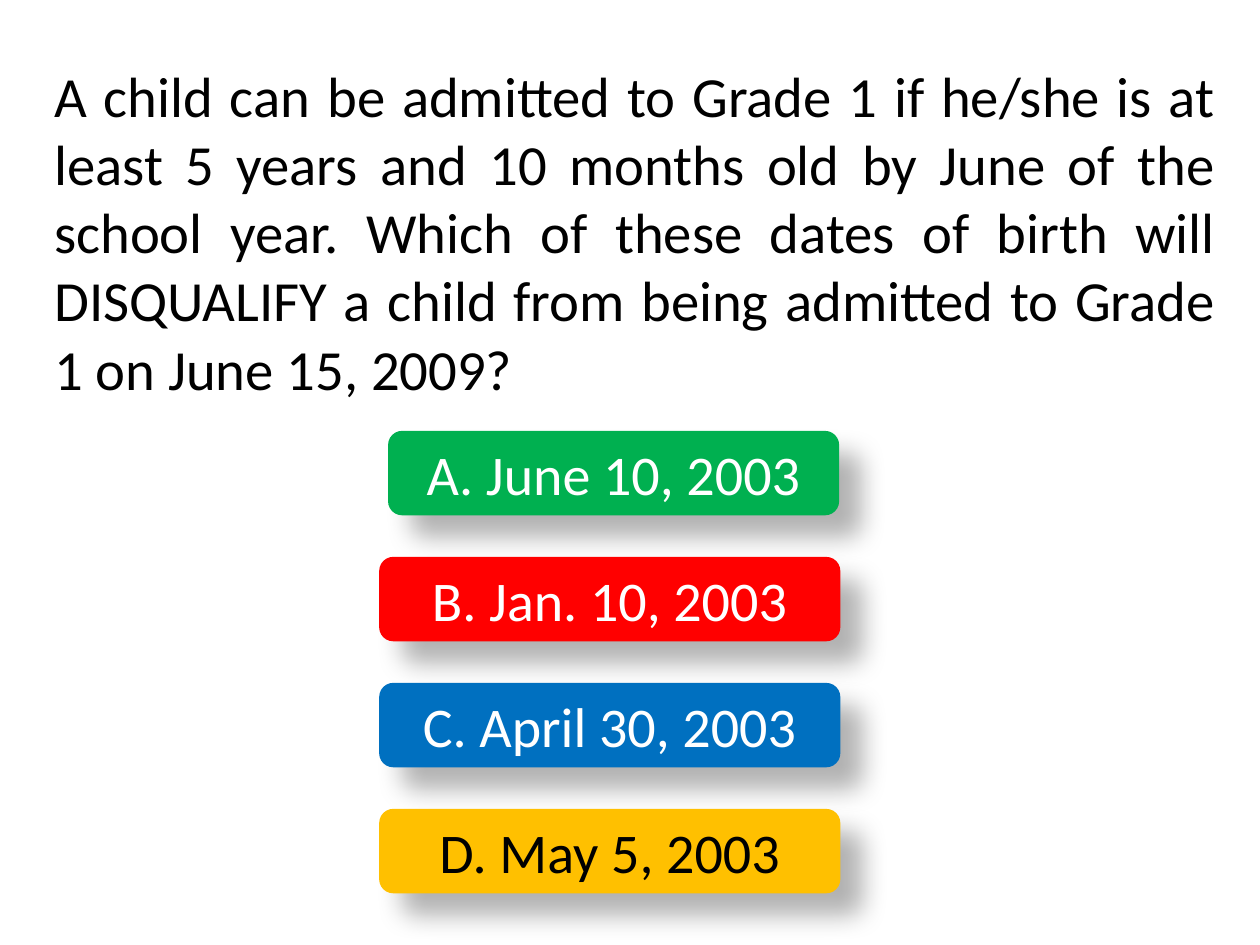
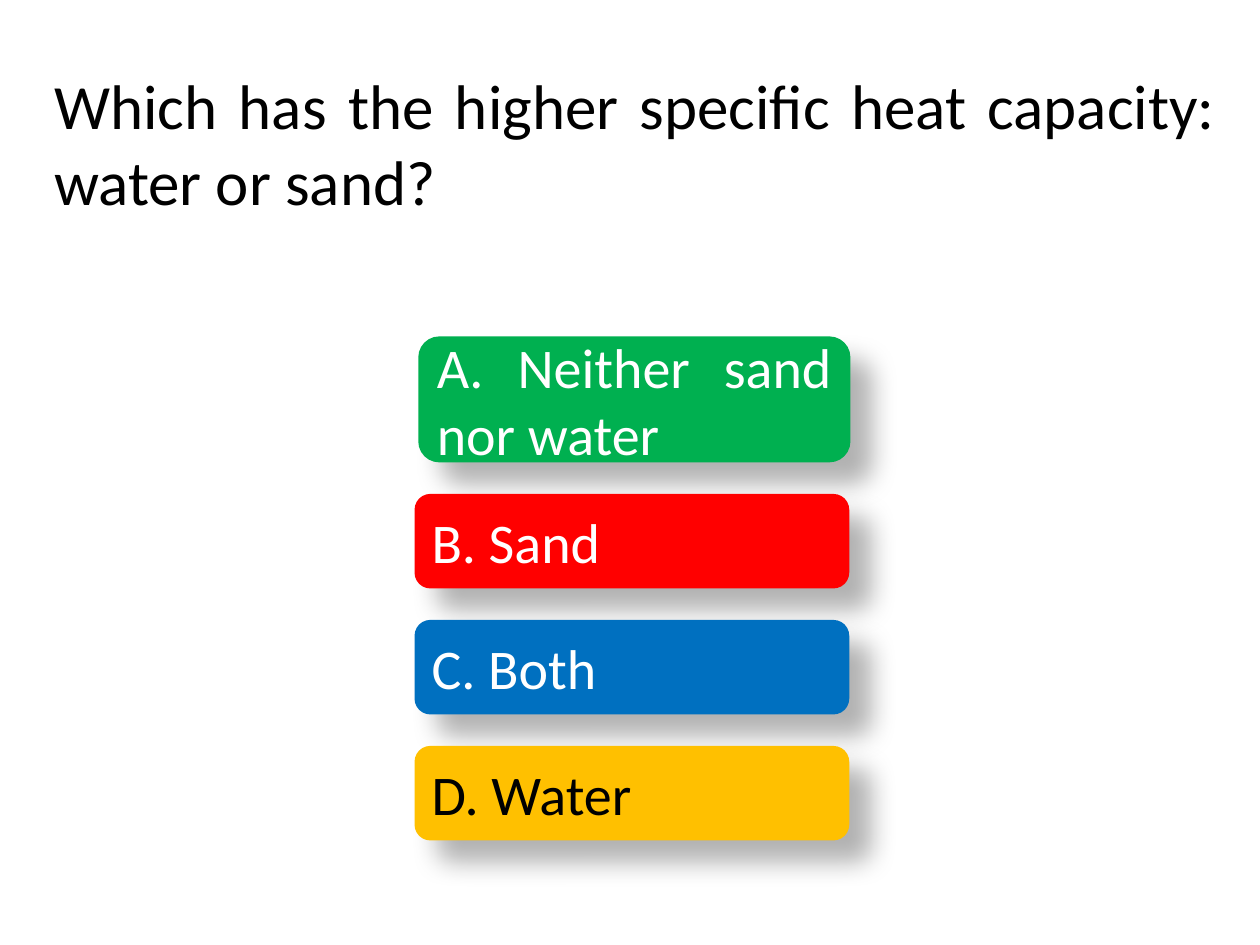
from lxml import etree
from pptx import Presentation
from pptx.dml.color import RGBColor
from pptx.enum.shapes import MSO_SHAPE
from pptx.enum.text import MSO_ANCHOR, MSO_AUTO_SIZE, PP_ALIGN
from pptx.oxml.ns import qn
from pptx.util import Inches, Pt

ROUNDED = MSO_SHAPE.ROUNDED_RECTANGLE
MIDDLE = MSO_ANCHOR.MIDDLE
NO_AUTOFIT = MSO_AUTO_SIZE.NONE
CENTER = PP_ALIGN.CENTER
JUSTIFY = PP_ALIGN.JUSTIFY

TITLE_ONLY = 5
FONT = "Calibri"
ANSWER_SIZE = 32
ANSWER_STEP = 1
COLORS = {
    "green": "00B050",
    "red": "FF0000",
    "blue": "0070C0",
    "yellow": "FFC000",
    "white": "FFFFFF",
    "black": "000000",
}
ANSWER_STYLES = [
    ("green", "white"),
    ("red", "white"),
    ("blue", "white"),
    ("yellow", "black"),
]


def color(name):
    return RGBColor.from_string(COLORS[name])


def write_text(shape, text, size, color_name, alignment):
    frame = shape.text_frame
    frame.word_wrap = True
    frame.auto_size = NO_AUTOFIT
    frame.vertical_anchor = MIDDLE
    frame.text = text
    paragraph = frame.paragraphs[0]
    paragraph.alignment = alignment
    paragraph.font.name = FONT
    paragraph.font.size = Pt(size)
    paragraph.font.color.rgb = color(color_name)


def add_shadow(shape):
    shape.shadow.inherit = False
    effects = shape._element.spPr.find(qn("a:effectLst"))
    shadow = etree.SubElement(
        effects, qn("a:outerShdw"), blurRad=str(Pt(15)), dist=str(Pt(18)),
        dir=str(45 * 60000), algn="tl", rotWithShape="0")
    shade = etree.SubElement(shadow, qn("a:srgbClr"), val=COLORS["black"])
    etree.SubElement(shade, qn("a:alpha"), val="30000")


def add_question(presentation, text, height, size):
    slide = presentation.slides.add_slide(presentation.slide_layouts[TITLE_ONLY])
    title = slide.shapes.title
    title.left, title.top = Inches(0.33), Inches(0.42)
    title.width, title.height = Inches(9.42), Inches(height)
    write_text(title, text, size, "black", JUSTIFY)
    return slide


def add_answer(slide, text, box, style, alignment):
    fill_name, text_name = style
    shape = slide.shapes.add_shape(ROUNDED, *(Inches(length) for length in box))
    shape.fill.solid()
    shape.fill.fore_color.rgb = color(fill_name)
    shape.line.fill.background()
    add_shadow(shape)
    write_text(shape, text, ANSWER_SIZE, text_name, alignment)


def add_answers(slide, answers, first_box, second_box, alignment):
    left, top, width, height = second_box
    boxes = [first_box]
    for index in range(len(answers) - 1):
        boxes.append((left, top + index * ANSWER_STEP, width, height))
    for text, box, style in zip(answers, boxes, ANSWER_STYLES):
        add_answer(slide, text, box, style, alignment)


def main():
    presentation = Presentation()
    presentation.slide_width = Inches(10)
    presentation.slide_height = Inches(7.5)

    admission = add_question(
        presentation,
        "A child can be admitted to Grade 1 if he/she is at least 5 years and "
        "10 months old by June of the school year. Which of these dates of birth "
        "will DISQUALIFY a child from being admitted to Grade 1 on June 15, 2009?",
        2.83, 32.4)
    add_answers(
        admission,
        ["A. June 10, 2003", "B. Jan. 10, 2003", "C. April 30, 2003", "D. May 5, 2003"],
        (3.08, 3.42, 3.58, 0.67), (3.01, 4.42, 3.66, 0.67), CENTER)

    heat_capacity = add_question(
        presentation,
        "Which has the higher specific heat capacity: water or sand?",
        1.42, 36)
    add_answers(
        heat_capacity,
        ["A. Neither sand nor water", "B. Sand", "C. Both", "D. Water"],
        (3.32, 2.67, 3.43, 1), (3.29, 3.92, 3.45, 0.75), JUSTIFY)

    presentation.save("out.pptx")


if __name__ == "__main__":
    main()
